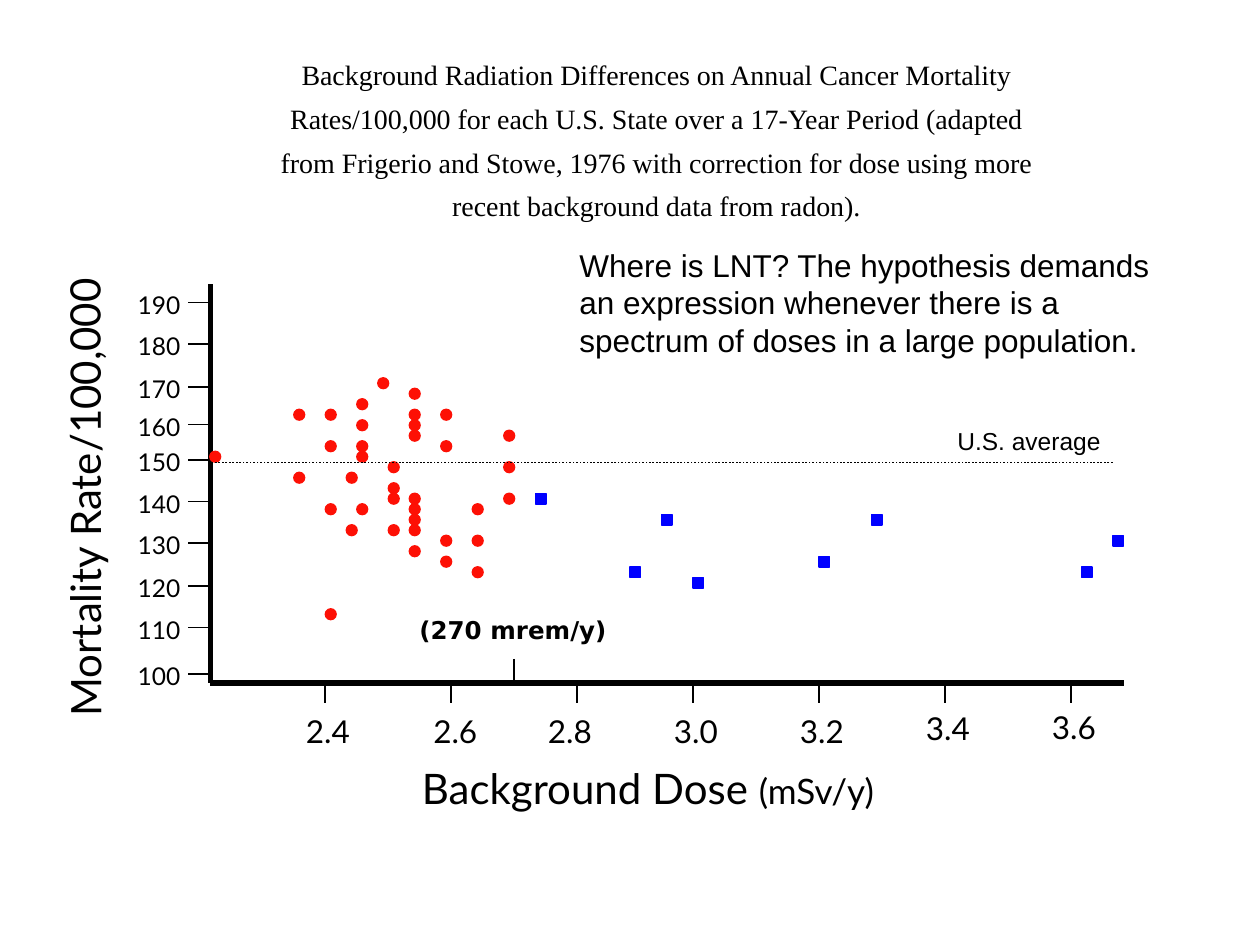
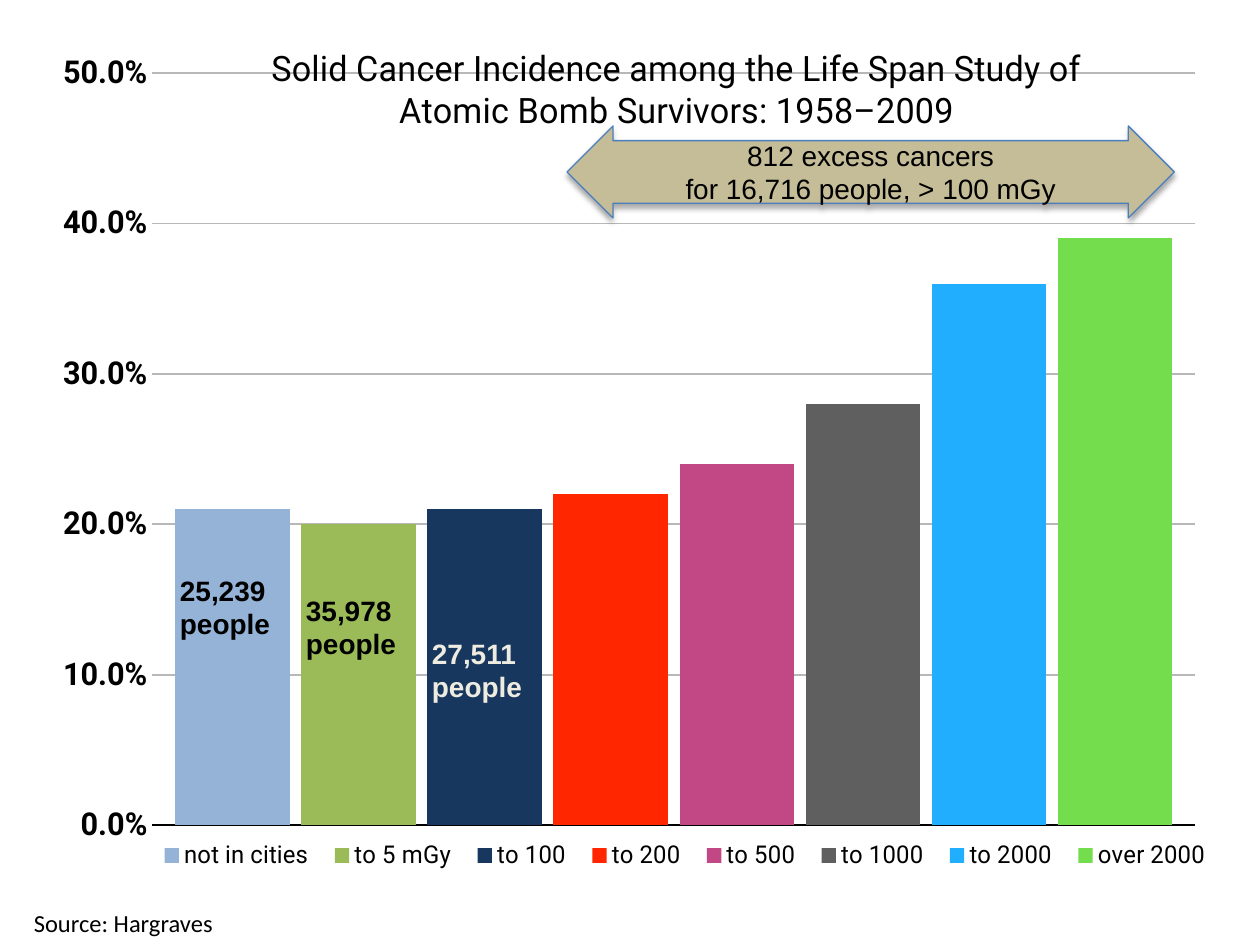
"""Build two slides on radiation dose and cancer rates."""
from lxml.etree import SubElement
from pptx import Presentation
from pptx.chart.data import CategoryChartData
from pptx.dml.color import RGBColor
from pptx.enum.chart import XL_CHART_TYPE, XL_LEGEND_POSITION, XL_TICK_LABEL_POSITION, XL_TICK_MARK
from pptx.enum.dml import MSO_LINE
from pptx.enum.shapes import MSO_CONNECTOR, MSO_SHAPE
from pptx.enum.text import MSO_ANCHOR, MSO_AUTO_SIZE, PP_ALIGN
from pptx.oxml.ns import qn
from pptx.util import Inches, Pt

BLACK = RGBColor(0x00, 0x00, 0x00)
CREAM = RGBColor(0xEE, 0xEC, 0xE1)
RED = RGBColor(0xFD, 0x10, 0x05)
BLUE = RGBColor(0x00, 0x00, 0xFF)
GRID_GRAY = RGBColor(0xB8, 0xB8, 0xB8)
ARROW_TAN = RGBColor(0xC4, 0xBD, 0x97)
ARROW_EDGE = RGBColor(0x4B, 0x7E, 0xBC)

AXIS_LEFT, AXIS_BOTTOM = 1.67, 5.42
MARKER_STEP = 1 / 12
CHART_WIDTH, CHART_HEIGHT = 9.3, 6.83

MORTALITY_TICKS = [5.35, 4.98, 4.65, 4.31, 3.98, 3.65, 3.37, 3.07, 2.73, 2.4]
DOSE_TICKS = [
    ("2.4", 2.58, 2.33, 5.6), ("2.6", 3.58, 3.34, 5.6), ("2.8", 4.58, 4.25, 5.6),
    ("3.0", 5.5, 5.25, 5.6), ("3.2", 6.5, 6.25, 5.6), ("3.4", 7.5, 7.25, 5.58),
    ("3.6", 8.5, 8.25, 5.57),
]
LOW_DOSE_STATES = {
    20: [43], 28: [39, 45], 31: [39, 42, 48, 58], 33: [45, 50],
    34: [38, 40, 42, 43, 48], 36: [36], 37: [44, 46, 47, 50],
    39: [37, 39, 40, 41, 47, 48, 49, 50, 52], 42: [39, 42, 51, 53],
    45: [48, 51, 54], 48: [41, 44, 47],
}
HIGH_DOSE_STATES = {
    51: [47], 60: [54], 63: [49], 66: [55], 78: [53], 83: [49], 103: [54], 106: [51],
}
DOSE_GROUPS = [
    ("not in cities", 0.21, RGBColor(0x95, 0xB3, 0xD7)),
    ("to 5 mGy", 0.2, RGBColor(0x9B, 0xBB, 0x59)),
    ("to 100", 0.21, RGBColor(0x17, 0x37, 0x5E)),
    ("to 200", 0.22, RGBColor(0xFF, 0x26, 0x00)),
    ("to 500", 0.24, RGBColor(0xC2, 0x48, 0x85)),
    ("to 1000", 0.28, RGBColor(0x5F, 0x5F, 0x5F)),
    ("to 2000", 0.36, RGBColor(0x22, 0xAE, 0xFF)),
    ("over 2000", 0.39, RGBColor(0x73, 0xDD, 0x4E)),
]


def style_font(font, name, size, color=BLACK, bold=False):
    """Set the face, size, colour and weight of a font."""
    font.name = name
    font.size = Pt(size)
    font.bold = bold
    font.color.rgb = color


def place(shape, left, top, width, height):
    """Move and size a shape, in inches."""
    shape.left, shape.top = Inches(left), Inches(top)
    shape.width, shape.height = Inches(width), Inches(height)


def fill_text(shape, text, font_name, size, color=BLACK, bold=False,
              align=PP_ALIGN.LEFT, spacing=None):
    """Write one formatted paragraph into a shape."""
    frame = shape.text_frame
    frame.word_wrap = True
    paragraph = frame.paragraphs[0]
    paragraph.text = text
    paragraph.alignment = align
    if spacing:
        paragraph.line_spacing = spacing
    for run in paragraph.runs:
        style_font(run.font, font_name, size, color, bold)


def add_label(slide, box, text, font_name, size, **style):
    """Add a text box and return it."""
    label = slide.shapes.add_textbox(*map(Inches, box))
    fill_text(label, text, font_name, size, **style)
    return label


def add_line(slide, start, end, width=1, dash=None):
    """Add a straight black line without shadow."""
    line = slide.shapes.add_connector(
        MSO_CONNECTOR.STRAIGHT, *map(Inches, (*start, *end)))
    line.line.color.rgb = BLACK
    line.line.width = Pt(width)
    if dash:
        line.line.dash_style = dash
    SubElement(line._element.spPr, qn("a:effectLst"))


def add_filled_shape(slide, kind, box, fill, edge, edge_width):
    """Add a flat preset shape."""
    shape = slide.shapes.add_shape(kind, *map(Inches, box))
    shape.shadow.inherit = False
    shape.fill.solid()
    shape.fill.fore_color.rgb = fill
    shape.line.color.rgb = edge
    shape.line.width = Pt(edge_width)
    return shape


def add_markers(slide, kind, color, columns):
    """Plot state markers from grid columns and rows."""
    for column, rows in columns.items():
        for row in rows:
            box = (column * MARKER_STEP, row * MARKER_STEP, MARKER_STEP, MARKER_STEP)
            add_filled_shape(slide, kind, box, color, color, 1)


def add_axes(slide):
    """Draw both scatter axes with ticks, values and names."""
    add_line(slide, (AXIS_LEFT, AXIS_BOTTOM), (8.92, AXIS_BOTTOM), 3)
    add_line(slide, (AXIS_LEFT, AXIS_BOTTOM), (AXIS_LEFT, 2.25), 3)
    for text, tick, left, top in DOSE_TICKS:
        add_line(slide, (tick, AXIS_BOTTOM), (tick, 5.58))
        add_label(slide, (left, top, 0.62, 0.4), text, "Lato", 18)
    for index, tick in enumerate(MORTALITY_TICKS):
        add_line(slide, (1.66, tick), (1.49, tick))
        add_label(slide, (0.82, tick - 0.15, 0.71, 0.33), str(100 + 10 * index),
                  "Lato", 14, align=PP_ALIGN.RIGHT)
    dose_name = add_label(slide, (3.25, 6, 4.12, 0.5), "Background Dose ", "Lato", 24)
    unit = dose_name.text_frame.paragraphs[0].add_run()
    unit.text = "(mSv/y)"
    style_font(unit.font, "Lato", 20)
    rate_name = add_label(slide, (-1.31, 3.56, 3.95, 0.5),
                          "Mortality Rate/100,000", "Lato", 24)
    rate_name.rotation = 269.8


def build_mortality_slide(presentation):
    """Build the scatter of state mortality against dose."""
    slide = presentation.slides.add_slide(presentation.slide_layouts[5])
    title = slide.shapes.title
    place(title, 2, 0.33, 6.42, 1.49)
    title.text_frame.vertical_anchor = MSO_ANCHOR.TOP
    title.text_frame.auto_size = MSO_AUTO_SIZE.NONE
    fill_text(title, "Background Radiation Differences on Annual Cancer Mortality "
              "Rates/100,000 for each U.S. State over a 17-Year Period (adapted from "
              "Frigerio and Stowe, 1976 with correction for dose using more recent "
              "background data from radon).",
              "Times New Roman", 16, align=PP_ALIGN.CENTER, spacing=1.3)
    add_label(slide, (4.5, 1.9, 4.83, 1.01),
              "Where is LNT? The hypothesis demands an expression whenever there is "
              "a spectrum of doses in a large population.", "Arial", 18)
    add_label(slide, (3.23, 4.76, 2.18, 0.4), "(270 mrem/y)", "DejaVu Sans", 14,
              bold=True, spacing=1.3)
    add_line(slide, (4.08, 5.23), (4.08, AXIS_BOTTOM), 0.75)
    add_axes(slide)
    add_markers(slide, MSO_SHAPE.RECTANGLE, BLUE, HIGH_DOSE_STATES)
    add_markers(slide, MSO_SHAPE.OVAL, RED, LOW_DOSE_STATES)
    add_line(slide, (8.83, 3.67), (AXIS_LEFT, 3.67), dash=MSO_LINE.ROUND_DOT)
    add_label(slide, (7.5, 3.33, 1.5, 0.33), "U.S. average", "Arial", 14)


def set_layout(layout, left, top, width=None, height=None):
    """Place a chart part, in inches from the chart corner."""
    for child in list(layout):
        layout.remove(child)
    manual = SubElement(layout, qn("c:manualLayout"))
    if layout.getparent().tag == qn("c:plotArea"):
        SubElement(manual, qn("c:layoutTarget"), val="inner")
    for mode in ("xMode", "yMode"):
        SubElement(manual, qn(f"c:{mode}"), val="edge")
    sizes = (CHART_WIDTH, CHART_HEIGHT) * 2
    for name, length, size in zip("xywh", (left, top, width, height), sizes):
        if length is not None:
            SubElement(manual, qn(f"c:{name}"), val=str(length / size))


def get_layout(element, before=None):
    """Return the layout of a chart part, adding it after a child if missing."""
    layout = element.find(qn("c:layout"))
    if layout is None:
        layout = SubElement(element, qn("c:layout"))
        if before:
            element.find(qn(before)).addnext(layout)
        else:
            element.insert(0, layout)
    return layout


def style_chart_axes(chart):
    """Format the category and percentage axes."""
    category_axis, value_axis = chart.category_axis, chart.value_axis
    for axis in (category_axis, value_axis):
        axis.major_tick_mark = axis.minor_tick_mark = XL_TICK_MARK.NONE
    category_axis.tick_label_position = XL_TICK_LABEL_POSITION.NONE
    category_axis.format.line.color.rgb = BLACK
    category_axis.format.line.width = Pt(1)
    value_axis.minimum_scale, value_axis.maximum_scale = 0, 0.5
    value_axis.major_unit = 0.1
    value_axis.format.line.fill.background()
    value_axis.major_gridlines.format.line.color.rgb = GRID_GRAY
    value_axis.major_gridlines.format.line.width = Pt(1)
    value_axis.tick_labels.number_format = "0.0%"
    value_axis.tick_labels.number_format_is_linked = False
    style_font(value_axis.tick_labels.font, "Roboto", 18, bold=True)


def add_incidence_chart(slide):
    """Add the column chart of cancer incidence by dose group."""
    data = CategoryChartData(number_format="0.0%")
    data.categories = ["1"]
    for name, value, _ in DOSE_GROUPS:
        data.add_series(name, [value])
    box = (0.5, 0.16, CHART_WIDTH, CHART_HEIGHT)
    chart = slide.shapes.add_chart(
        XL_CHART_TYPE.COLUMN_CLUSTERED, *map(Inches, box), data).chart
    style_font(chart.font, "Calibri", 10)
    plot = chart.plots[0]
    plot.gap_width, plot.overlap = 40, -10
    plot.vary_by_categories = False
    for series, (_, _, color) in zip(plot.series, DOSE_GROUPS):
        series.format.fill.solid()
        series.format.fill.fore_color.rgb = color
    style_chart_axes(chart)
    set_layout(get_layout(chart._chartSpace.chart.plotArea), 0.48, 0.42, 8.5, 5.97)

    chart.has_title = True
    title = chart.chart_title
    paragraph = title.text_frame.paragraphs[0]
    paragraph.text = ("Solid Cancer Incidence among the Life Span Study of "
                      "Atomic Bomb Survivors: 1958–2009")
    style_font(paragraph.runs[0].font, "Roboto", 20)
    title._element.find(qn("c:overlay")).set("val", "1")
    set_layout(get_layout(title._element, "c:tx"), 1.4, 0.14)

    chart.has_legend = True
    legend = chart.legend
    legend.position = XL_LEGEND_POSITION.BOTTOM
    legend.include_in_layout = True
    style_font(legend.font, "Roboto", 14)
    set_layout(get_layout(legend._element, "c:legendPos"), 0.43, 6.46, 8.78, 0.34)


def add_excess_arrow(slide):
    """Add the shadowed double arrow over the high dose groups."""
    arrow = add_filled_shape(slide, MSO_SHAPE.LEFT_RIGHT_ARROW, (4.5, 1, 4.82, 0.73),
                             ARROW_TAN, ARROW_EDGE, 0.75)
    arrow.adjustments[0], arrow.adjustments[1] = 0.68, 0.5
    arrow.text_frame.vertical_anchor = MSO_ANCHOR.MIDDLE
    fill_text(arrow, "812 excess cancers\nfor 16,716 people, > 100 mGy", "Arial", 16,
              align=PP_ALIGN.CENTER)
    effects = arrow._element.spPr.find(qn("a:effectLst"))
    shadow = SubElement(effects, qn("a:outerShdw"), blurRad=str(Pt(3.1)),
                        dist=str(Pt(1.8)), dir="5400000", rotWithShape="0")
    color = SubElement(shadow, qn("a:srgbClr"), val=str(BLACK))
    SubElement(color, qn("a:alpha"), val="35000")


def build_incidence_slide(presentation):
    """Build the cancer incidence slide."""
    slide = presentation.slides.add_slide(presentation.slide_layouts[6])
    add_incidence_chart(slide)
    add_label(slide, (0.17, 7.16, 1.8, 0.34), "Source: Hargraves", "Calibri", 14)
    add_excess_arrow(slide)
    people_labels = [("25,239 people", 4.5, BLACK), ("35,978\npeople", 4.66, BLACK),
                     ("27,511\npeople", 5, CREAM)]
    for index, (text, top, color) in enumerate(people_labels):
        add_label(slide, (1.33 + index, top, 0.95, 0.64), text, "Arial", 16,
                  color=color, bold=True)


def main():
    """Build and save the presentation."""
    presentation = Presentation()
    presentation.slide_width, presentation.slide_height = Inches(10), Inches(7.5)
    build_mortality_slide(presentation)
    build_incidence_slide(presentation)
    presentation.save("out.pptx")


if __name__ == "__main__":
    main()
